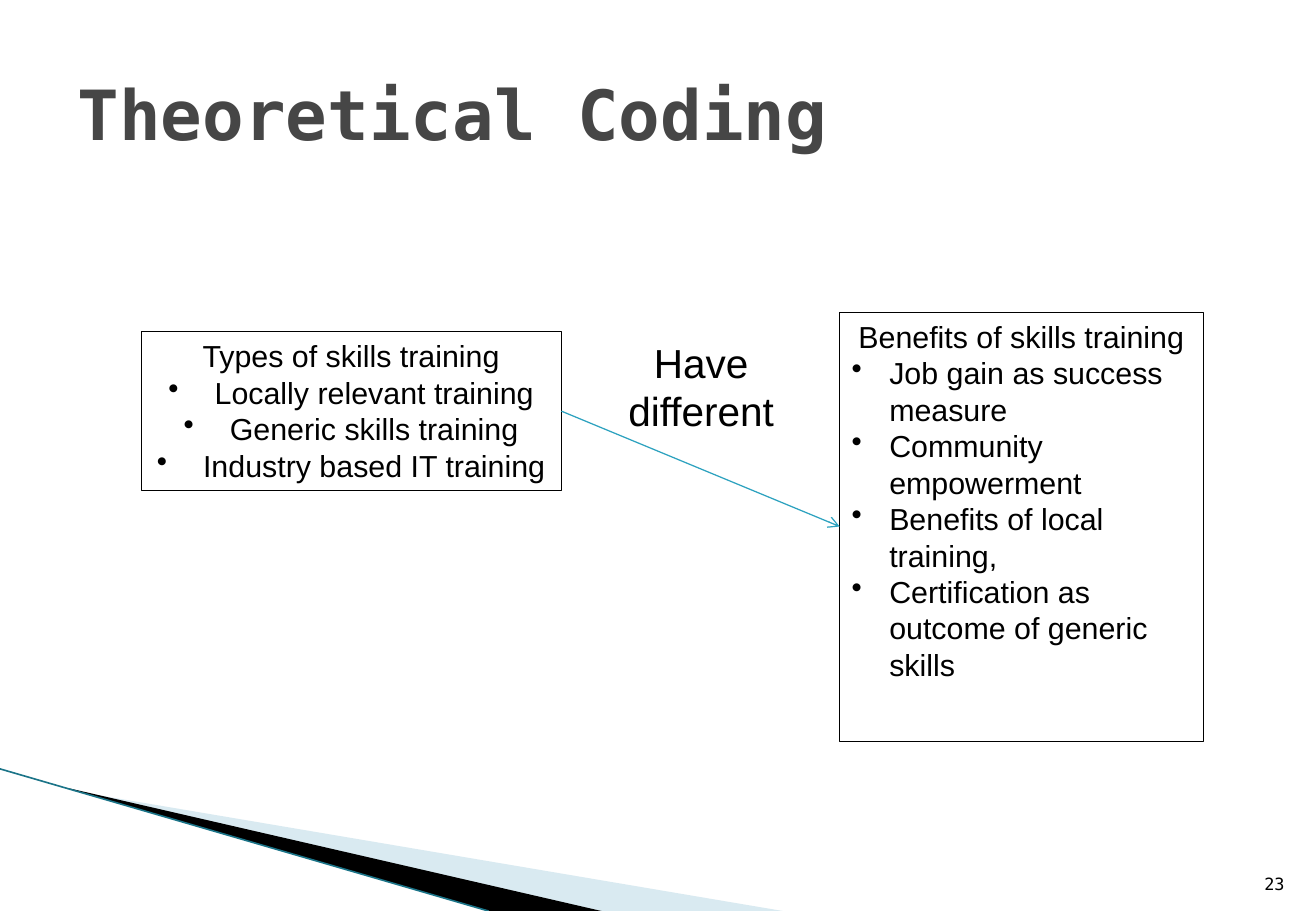
import pptx
import pptx.util
import pptx.dml.color
import pptx.enum.shapes
import pptx.enum.text
import pptx.oxml
import pptx.oxml.ns
import lxml.etree

Inches, Pt = pptx.util.Inches, pptx.util.Pt
Align, Anchor = pptx.enum.text.PP_ALIGN, pptx.enum.text.MSO_ANCHOR
qn = pptx.oxml.ns.qn

THEME = {
    "body": "Arial", "heading": "DejaVu Sans Mono",
    "title_size": 41, "label_size": 24, "text_size": 18, "number_size": 10,
    "ink": "000000", "title": "464646", "arrow": "2DA2BF",
    "edge": "1B7488", "pale": "A0CBDC", "leading": 1.2,
}

TITLE = "Theoretical Coding"
PAGE = "23"
RELATION = "Have different"
CATEGORIES = [
    {"at": (1.16, 2.73, 3.46, 1.31), "heading": "Types of skills training",
     "align": Align.CENTER, "indent": 0.38,
     "codes": ["Locally relevant training", "Generic skills training",
               "Industry based IT training"]},
    {"at": (6.91, 2.57, 2.99, 3.53), "heading": "Benefits of skills training",
     "align": Align.LEFT, "indent": 0.31,
     "codes": ["Job gain as success measure", "Community empowerment",
               "Benefits of local training,",
               "Certification as outcome of generic skills"]},
]
WEDGES = [
    ("pale", 40, [(0.59, 6.51), (6.44, 7.5), (4.94, 7.5), (0.59, 6.5)]),
    ("ink", 100, [(0.57, 6.49), (4.95, 7.5), (4.03, 7.5), (0.58, 6.5)]),
]

deck = pptx.Presentation()
deck.slide_width, deck.slide_height = Inches(10.83), Inches(7.5)
slide = deck.slides.add_slide(deck.slide_layouts[6])


def color(name):
    return pptx.dml.color.RGBColor.from_string(THEME[name])


def style(paragraph, size, face="body", ink="ink", align=Align.LEFT, bold=False):
    paragraph.alignment = align
    font = paragraph.font
    font.name, font.size, font.bold = THEME[face], Pt(THEME[size]), bold
    font.color.rgb = color(ink)
    if face == "body":
        paragraph.line_spacing = Pt(THEME[size] * THEME["leading"])


def bullet(paragraph, indent):
    properties = paragraph._p.get_or_add_pPr()
    properties.set("marL", str(Inches(indent)))
    properties.set("indent", str(-Inches(indent)))
    mark = pptx.oxml.parse_xml(
        '<a:buChar xmlns:a="http://schemas.openxmlformats.org/drawingml/2006/main" char="•"/>')
    properties.insert_element_before(mark, "a:tabLst", "a:defRPr", "a:extLst")


def label(at, text, anchor, *args, **kwargs):
    frame = slide.shapes.add_textbox(*map(Inches, at)).text_frame
    frame.word_wrap, frame.vertical_anchor = True, anchor
    frame.text = text
    style(frame.paragraphs[0], *args, **kwargs)


def line(start, end, ink, width):
    connector = slide.shapes.add_connector(
        pptx.enum.shapes.MSO_CONNECTOR.STRAIGHT, *map(Inches, start + end))
    connector.line.color.rgb, connector.line.width = color(ink), Pt(width)
    lxml.etree.SubElement(connector._element.spPr, qn("a:effectLst"))
    return connector


def wedge(ink, opacity, points):
    builder = slide.shapes.build_freeform(*map(Inches, points[0]), scale=1.0)
    builder.add_line_segments([tuple(map(Inches, point)) for point in points[1:]])
    outline = builder.convert_to_shape()
    outline.shadow.inherit = False
    outline.fill.solid()
    outline.fill.fore_color.rgb = color(ink)
    outline.line.fill.background()
    tint = outline._element.spPr.find(qn("a:solidFill"))[0]
    lxml.etree.SubElement(tint, qn("a:alpha"), val=str(opacity * 1000))


def category(at, heading, align, indent, codes):
    box = slide.shapes.add_shape(
        pptx.enum.shapes.MSO_SHAPE.RECTANGLE, *map(Inches, at))
    box.shadow.inherit = False
    box.fill.background()
    box.line.color.rgb, box.line.width = color("ink"), Pt(0.25)
    frame = box.text_frame
    frame.word_wrap, frame.vertical_anchor = True, Anchor.TOP
    frame.text = "\n".join([heading] + codes)
    for paragraph in frame.paragraphs:
        style(paragraph, "text_size", align=align)
    frame.paragraphs[0].alignment = Align.CENTER
    for paragraph in frame.paragraphs[1:]:
        bullet(paragraph, indent)
    return box


for part in WEDGES:
    wedge(*part)
line((0, 6.33), (4.02, 7.5), "edge", 0.95)

label((0.54, 0.3, 9.75, 1.25), TITLE, Anchor.MIDDLE, "title_size",
      face="heading", ink="title", bold=True)
label((10.14, 7.01, 0.53, 0.4), PAGE, Anchor.BOTTOM, "number_size",
      face="heading", align=Align.RIGHT)

types, benefits = [category(**entry) for entry in CATEGORIES]
label((5.02, 2.73, 1.5, 0.91), RELATION, Anchor.TOP, "label_size", align=Align.CENTER)

arrow = line((0, 0), (1, 1), "arrow", 0.75)
arrow.begin_connect(types, 3)
arrow.end_connect(benefits, 1)
lxml.etree.SubElement(arrow.line._get_or_add_ln(), qn("a:tailEnd"), type="arrow")

deck.save("out.pptx")
